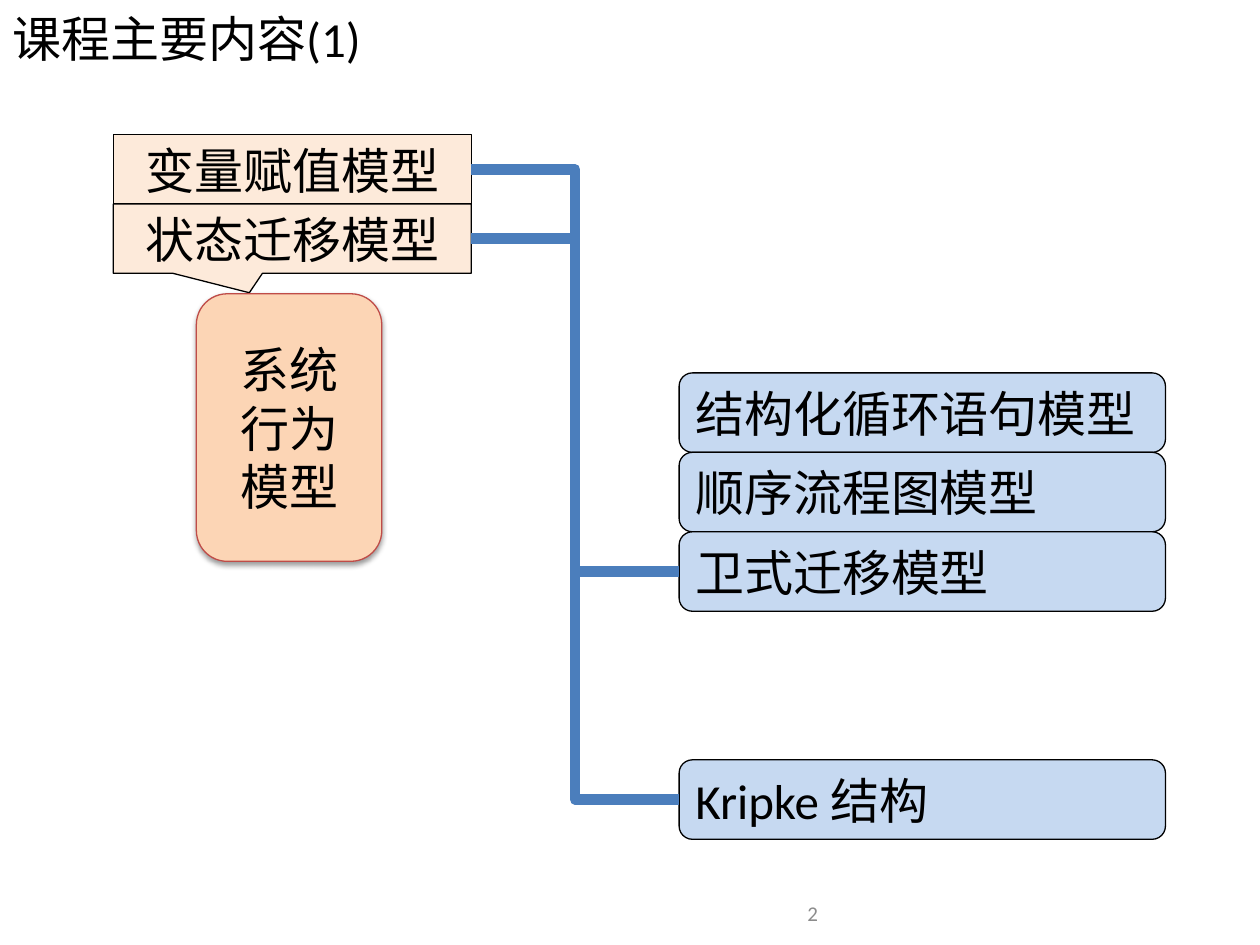
from dataclasses import dataclass

from lxml.etree import SubElement
from pptx import Presentation
from pptx.dml.color import RGBColor
from pptx.enum.shapes import MSO_CONNECTOR, MSO_SHAPE
from pptx.enum.text import MSO_ANCHOR, PP_ALIGN
from pptx.oxml.ns import qn
from pptx.util import Pt

COLORS = {
    "text": "000000",
    "number": "8C8C8C",
    "callout": "FDEADA",
    "model": "C6D9F1",
    "system": "FCD5B5",
    "system_line": "BF4C48",
    "link": "4B7EBC",
}
RIGHT, LEFT = 3, 1


@dataclass
class Box:
    text: str
    kind: MSO_SHAPE
    left: float
    top: float
    width: float
    height: float
    fill: str
    line: str = "text"
    align: PP_ALIGN = PP_ALIGN.CENTER
    wrap: bool = False
    adj: tuple = ()


def rgb(name: str) -> RGBColor:
    return RGBColor.from_string(COLORS[name])


def write(sp, text: str, *, size=28, color="text", align=PP_ALIGN.LEFT, wrap=True):
    tf = sp.text_frame
    tf.word_wrap = wrap
    tf.vertical_anchor = MSO_ANCHOR.MIDDLE
    p = tf.paragraphs[0]
    p.alignment = align
    r = p.add_run()
    r.text = text
    r.font.name = "Calibri"
    r.font.size = Pt(size)
    r.font.color.rgb = rgb(color)


def place(sp, left: float, top: float, width: float, height: float):
    sp.left, sp.top, sp.width, sp.height = map(Pt, (left, top, width, height))


def draw_box(slide, box: Box):
    sp = slide.shapes.add_shape(
        box.kind, Pt(box.left), Pt(box.top), Pt(box.width), Pt(box.height)
    )
    for i, value in enumerate(box.adj):
        sp.adjustments[i] = value
    sp.shadow.inherit = False
    sp.fill.solid()
    sp.fill.fore_color.rgb = rgb(box.fill)
    sp.line.color.rgb = rgb(box.line)
    sp.line.width = Pt(0.75)
    write(sp, box.text, align=box.align, wrap=box.wrap)
    return sp


def add_shadow(sp):
    effects = sp._element.spPr.find(qn("a:effectLst"))
    shadow = SubElement(
        effects, qn("a:outerShdw"), blurRad=str(Pt(3.1)), dist=str(Pt(1.6)),
        dir="5400000", rotWithShape="0",
    )
    color = SubElement(shadow, qn("a:srgbClr"), val=COLORS["text"])
    SubElement(color, qn("a:alpha"), val="38000")


def link(slide, start, end):
    cxn = slide.shapes.add_connector(MSO_CONNECTOR.ELBOW, 0, 0, 0, 0)
    cxn.begin_connect(start, RIGHT)
    cxn.end_connect(end, LEFT)
    cxn.line.color.rgb = rgb("link")
    cxn.line.width = Pt(6)
    SubElement(cxn._element.spPr, qn("a:effectLst"))


def callout(text: str, row: int, adj: tuple) -> Box:
    height = 39.6
    return Box(text, MSO_SHAPE.RECTANGULAR_CALLOUT, 64.8, 77 + row * height,
               204.5, height, "callout", adj=adj)


def model(text: str, top: float) -> Box:
    return Box(text, MSO_SHAPE.FLOWCHART_ALTERNATE_PROCESS, 388.1, top,
               277.9, 45.4, "model", align=PP_ALIGN.LEFT)


def main():
    prs = Presentation()
    prs.slide_width, prs.slide_height = Pt(720), Pt(540)
    slide = prs.slides.add_slide(prs.slide_layouts[5])

    title = slide.shapes.title
    place(title, 0, 0, 684.7, 43.2)
    write(title, "课程主要内容(1)")

    number = slide.shapes.add_textbox(Pt(246), Pt(507.6), Pt(228.5), Pt(28.8))
    write(number, "2", size=12, color="number", align=PP_ALIGN.RIGHT)

    assignment = draw_box(slide, callout("变量赋值模型", 0, (-0.1, 0.5)))
    transition = draw_box(slide, callout("状态迁移模型", 1, (-0.12, 0.78)))
    system = draw_box(slide, Box("系统行为模型", MSO_SHAPE.ROUNDED_RECTANGLE,
                                 112.2, 167.9, 106, 152.9, "system",
                                 line="system_line", wrap=True))
    add_shadow(system)

    names = ["结构化循环语句模型", "顺序流程图模型", "卫式迁移模型"]
    models = [draw_box(slide, model(name, 213.1 + i * 45.4))
              for i, name in enumerate(names)]
    kripke = draw_box(slide, model("Kripke 结构", 434.2))

    link(slide, transition, kripke)
    link(slide, assignment, models[-1])

    prs.save("out.pptx")


if __name__ == "__main__":
    main()
